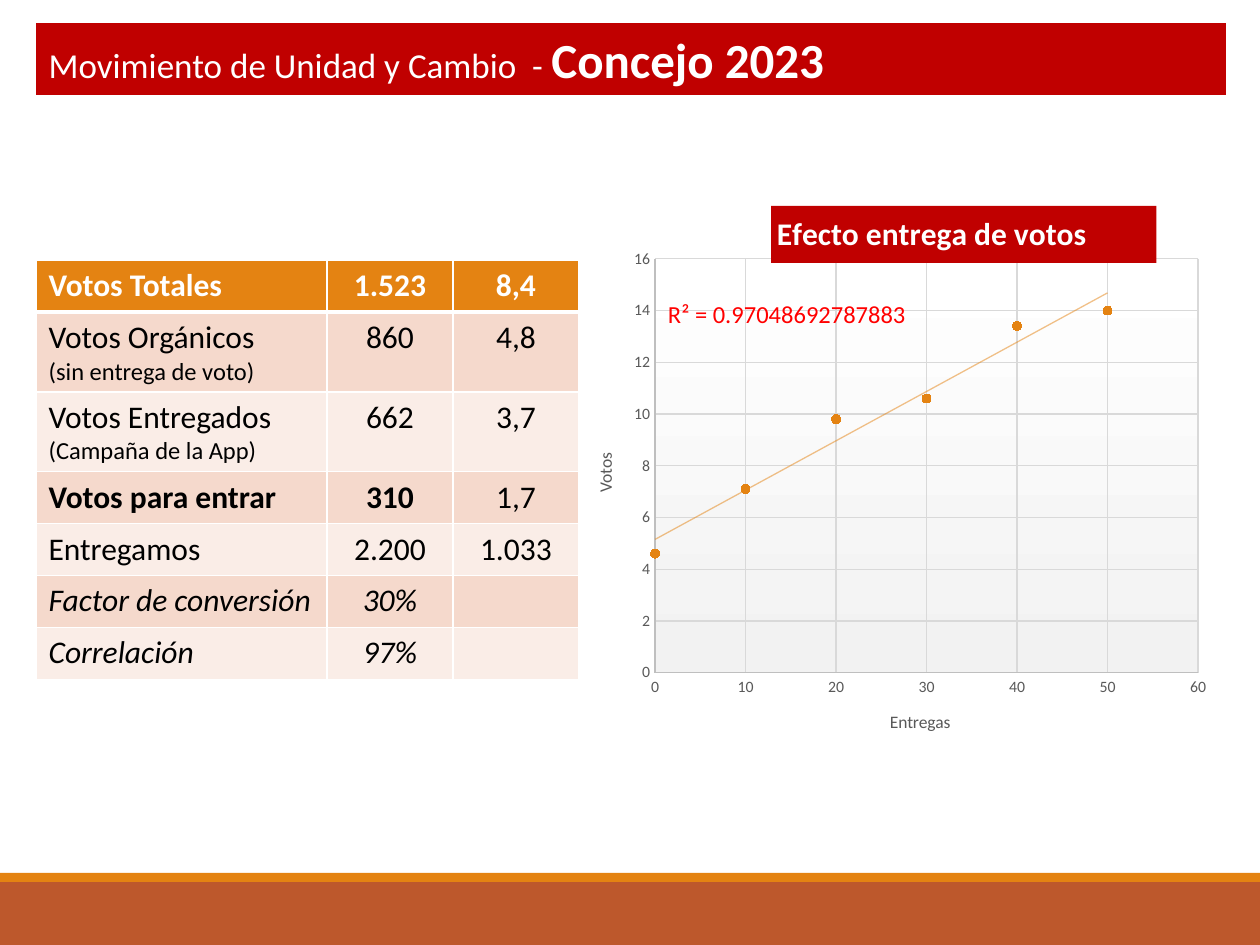
from lxml.etree import SubElement
from pptx import Presentation
from pptx.chart.data import XyChartData
from pptx.dml.color import RGBColor
from pptx.enum.chart import XL_CHART_TYPE, XL_MARKER_STYLE, XL_TICK_MARK
from pptx.enum.shapes import MSO_SHAPE
from pptx.enum.text import MSO_ANCHOR, MSO_AUTO_SIZE, PP_ALIGN
from pptx.oxml import parse_xml
from pptx.oxml.ns import nsdecls, qn
from pptx.util import Pt

HEADING = [("Movimiento de Unidad y Cambio  - ", "body_large", False), ("Concejo 2023", "heading", True)]
ROWS = [
    (("Votos Totales", "1.523", "8,4"), "bbb"),
    (("Votos Orgánicos\v(sin entrega de voto)", "860", "4,8"), "---"),
    (("Votos Entregados\v(Campaña de la App)", "662", "3,7"), "---"),
    (("Votos para entrar", "310", "1,7"), "bb-"),
    (("Entregamos", "2.200", "1.033"), "---"),
    (("Factor de conversión", "30%", ""), "iii"),
    (("Correlación ", "97%", ""), "iii"),
]
EFFECT = {
    "title": "Efecto entrega de votos         ",
    "x_title": "Entregas",
    "y_title": "Votos",
    "fit": "R² = 0.97048692787883",
    "points": [(0, 4.6), (10, 7.1), (20, 9.8), (30, 10.6), (40, 13.4), (50, 14)],
}
THEME = {
    "font": "Calibri",
    "red": "C00000", "orange": "E48312", "rust": "BD582C",
    "white": "FFFFFF", "black": "000000", "grey": "595959",
    "grid": "D9D9D9", "axis": "BFBFBF", "plot_end": "F2F2F2",
    "bands": ("F5D9CC", "FAEDE7"), "fit": "FF0000",
    "heading": 28, "body_large": 20, "body": 18, "note": 14, "axis_title": 10, "tick": 9,
}
SCALE = 914400 // 126
HEADING_BOX = (36, 23, 1190, 72)
FOOTER_BARS = [((0, 882, 1260, 63), "rust"), ((0, 873, 1260, 9), "orange")]
TABLE_BOX = (36, 260, 543, 414)
COLUMNS = (291, 126, 126)
ROW_HEIGHT = 52
CHART_BOX = (578, 194, 648, 564)
PLOT_BOX = (655, 259, 543, 414)
CHART_TITLE_AT = (771, 206)
FIT_BOX = (668, 299, 260, 30)


def emu(box):
    return [value * SCALE for value in box]


def color(name):
    return RGBColor.from_string(THEME.get(name, name))


def style(font, size, ink, bold=False, italic=False):
    font.name, font.size = THEME["font"], Pt(THEME[size])
    font.bold, font.italic = bold, italic
    font.color.rgb = color(ink)


def paint(target, name):
    target.fill.solid()
    target.fill.fore_color.rgb = color(name)


def border(cell, sides):
    properties = cell._tc.get_or_add_tcPr()
    for position, (side, points) in enumerate(sides):
        properties.insert(position, parse_xml(
            f'<a:ln{side} {nsdecls("a")} w="{Pt(points)}"><a:solidFill>'
            f'<a:srgbClr val="{THEME["white"]}"/></a:solidFill></a:ln{side}>'))


def manual_layout(box, inner=False):
    left, top, width, height = CHART_BOX
    parts = [("layoutTarget", "inner")] if inner else []
    parts += [("xMode", "edge"), ("yMode", "edge")]
    fractions = [(box[0] - left) / width, (box[1] - top) / height]
    if inner:
        fractions += [box[2] / width, box[3] / height]
    parts += [(key, round(value, 3)) for key, value in zip("xywh", fractions)]
    layout = parse_xml(f'<c:layout {nsdecls("c")}><c:manualLayout/></c:layout>')
    for tag, value in parts:
        SubElement(layout[0], qn(f"c:{tag}")).set("val", str(value))
    return layout


def replace_layout(parent, layout, position):
    for old in parent.findall(qn("c:layout")):
        parent.remove(old)
    parent.insert(position, layout)


def add_heading(slide):
    heading = slide.shapes.title
    heading.left, heading.top, heading.width, heading.height = emu(HEADING_BOX)
    paint(heading, "red")
    frame = heading.text_frame
    frame.auto_size = MSO_AUTO_SIZE.NONE
    frame.vertical_anchor = MSO_ANCHOR.MIDDLE
    paragraph = frame.paragraphs[0]
    paragraph.alignment = PP_ALIGN.LEFT
    for text, size, bold in HEADING:
        run = paragraph.add_run()
        run.text = text
        style(run.font, size, "white", bold)


def add_footer(slide):
    for box, fill in FOOTER_BARS:
        bar = slide.shapes.add_shape(MSO_SHAPE.RECTANGLE, *emu(box))
        bar.shadow.inherit = False
        paint(bar, fill)
        bar.line.fill.background()


def add_votes(slide):
    votes = slide.shapes.add_table(len(ROWS), len(COLUMNS), *emu(TABLE_BOX)).table
    for column, width in zip(votes.columns, COLUMNS):
        column.width = width * SCALE
    for r, (texts, emphasis) in enumerate(ROWS):
        votes.rows[r].height = ROW_HEIGHT * SCALE
        for c, text in enumerate(texts):
            cell = votes.cell(r, c)
            paint(cell, THEME["bands"][(r - 1) % 2] if r else "orange")
            border(cell, [("L", 1), ("R", 1), ("T", 3 if r == 1 else 1), ("B", 1 if r else 3)])
            cell.text_frame.text = text
            paragraph = cell.text_frame.paragraphs[0]
            paragraph.alignment = PP_ALIGN.CENTER if c else PP_ALIGN.LEFT
            style(paragraph.font, "body", "black")
            for line, run in enumerate(paragraph.runs):
                style(run.font, "note" if line else "body", "black" if r else "white",
                      emphasis[c] == "b", emphasis[c] == "i")


def format_axis(axis, title, maximum, step):
    axis.minimum_scale, axis.maximum_scale, axis.major_unit = 0, maximum, step
    axis.major_tick_mark = axis.minor_tick_mark = XL_TICK_MARK.NONE
    axis.tick_labels.number_format = "#,##0"
    axis.tick_labels.number_format_is_linked = False
    style(axis.tick_labels.font, "tick", "grey")
    axis.has_major_gridlines = True
    for rule, ink in ((axis.format.line, "axis"), (axis.major_gridlines.format.line, "grid")):
        rule.color.rgb = color(ink)
        rule.width = Pt(0.75)
    axis.axis_title.text_frame.text = title
    style(axis.axis_title.text_frame.paragraphs[0].runs[0].font, "axis_title", "grey")


def add_trend(series):
    series._element.find(qn("c:xVal")).addprevious(parse_xml(
        f'<c:trendline {nsdecls("c", "a")}><c:spPr><a:ln w="{Pt(0.75)}"><a:solidFill>'
        f'<a:srgbClr val="{THEME["orange"]}"><a:alpha val="50000"/></a:srgbClr></a:solidFill></a:ln></c:spPr>'
        '<c:trendlineType val="linear"/><c:dispRSqr val="0"/><c:dispEq val="0"/></c:trendline>'))


def add_fit(slide):
    fit = slide.shapes.add_textbox(*emu(FIT_BOX))
    frame = fit.text_frame
    frame.margin_left = frame.margin_right = frame.margin_top = frame.margin_bottom = 0
    frame.word_wrap = True
    frame.vertical_anchor = MSO_ANCHOR.MIDDLE
    frame.text = EFFECT["fit"]
    style(frame.paragraphs[0].runs[0].font, "note", "fit")


def add_effect(slide):
    data = XyChartData()
    points = data.add_series("Series 1")
    for x, y in EFFECT["points"]:
        points.add_data_point(x, y)
    chart = slide.shapes.add_chart(XL_CHART_TYPE.XY_SCATTER, *emu(CHART_BOX), data).chart
    style(chart.font, "axis_title", "black")
    chart.has_legend = False
    chart.plots[0].vary_by_categories = False
    title = chart.chart_title
    title.text_frame.text = EFFECT["title"]
    style(title.text_frame.paragraphs[0].runs[0].font, "body", "white", True)
    paint(title.format, "red")
    replace_layout(title._element, manual_layout(CHART_TITLE_AT), 1)
    format_axis(chart.category_axis, EFFECT["x_title"], 60, 10)
    format_axis(chart.value_axis, EFFECT["y_title"], 16, 2)
    series = chart.plots[0].series[0]
    series.smooth = False
    series.format.line.fill.background()
    series.marker.style, series.marker.size = XL_MARKER_STYLE.CIRCLE, 5
    paint(series.marker.format, "orange")
    series.marker.format.line.color.rgb = color("orange")
    add_trend(series)
    plot = chart._chartSpace.chart.plotArea
    replace_layout(plot, manual_layout(PLOT_BOX, inner=True), 0)
    plot.append(parse_xml(
        f'<c:spPr {nsdecls("c", "a")}><a:gradFill><a:gsLst>'
        f'<a:gs pos="0"><a:srgbClr val="{THEME["white"]}"/></a:gs>'
        f'<a:gs pos="100000"><a:srgbClr val="{THEME["plot_end"]}"/></a:gs>'
        '</a:gsLst><a:lin ang="5400000" scaled="0"/></a:gradFill></c:spPr>'))


presentation = Presentation()
presentation.slide_width, presentation.slide_height = emu((1260, 945))
slide = presentation.slides.add_slide(presentation.slide_layouts[5])
add_footer(slide)
add_effect(slide)
add_fit(slide)
add_votes(slide)
add_heading(slide)
presentation.save("out.pptx")
